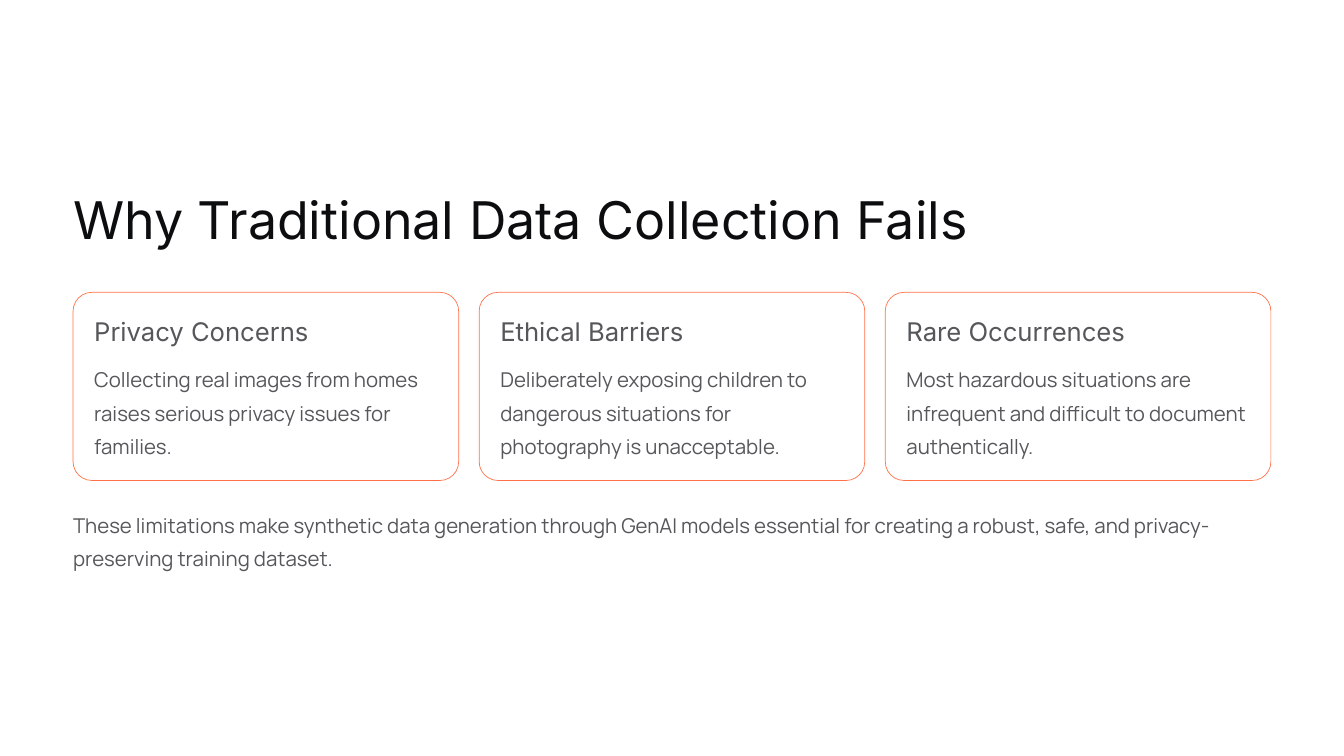
"""Build a slide on why traditional data collection fails."""
from pptx import Presentation
from pptx.dml.color import RGBColor
from pptx.enum.shapes import MSO_SHAPE
from pptx.enum.text import MSO_ANCHOR, MSO_AUTO_SIZE, PP_ALIGN
from pptx.util import Cm, Pt

ROUNDED = MSO_SHAPE.ROUNDED_RECTANGLE
TOP = MSO_ANCHOR.TOP
NO_FIT = MSO_AUTO_SIZE.NONE
LEFT_ALIGN = PP_ALIGN.LEFT

INK = RGBColor(0x0C, 0x0D, 0x0F)
GRAY = RGBColor(0x55, 0x57, 0x5A)
ORANGE = RGBColor(0xFF, 0x70, 0x47)
WHITE = RGBColor(0xFF, 0xFF, 0xFF)

MARGIN = 2.21
CARD_TOP = 8.84
CARD_WIDTH = 11.66
CARD_HEIGHT = 5.69
CARD_PITCH = 12.28
CARD_INSET = 0.64

HEADING = dict(font="Inter", size=22, color=GRAY, leading=27.5, wrap=False)
BODY = dict(font="Manrope", size=17.5, color=GRAY, leading=28.5, wrap=True)


def write(box, text, font, size, color, leading, wrap):
    frame = box.text_frame
    frame.margin_left = frame.margin_right = 0
    frame.margin_top = frame.margin_bottom = 0
    frame.vertical_anchor = TOP
    frame.auto_size = NO_FIT
    frame.word_wrap = wrap
    paragraph = frame.paragraphs[0]
    paragraph.alignment = LEFT_ALIGN
    paragraph.line_spacing = Pt(leading)
    run = paragraph.add_run()
    run.text = text
    run.font.name = font
    run.font.size = Pt(size)
    run.font.color.rgb = color


presentation = Presentation()
presentation.slide_width = Cm(40.64)
presentation.slide_height = Cm(22.86)
slide = presentation.slides.add_slide(presentation.slide_layouts[5])
slide.background.fill.solid()
slide.background.fill.fore_color.rgb = WHITE
shapes = slide.shapes

title = shapes.title
title.left, title.top = Cm(MARGIN), Cm(5.61)
title.width, title.height = Cm(27.15), Cm(1.98)
write(title, "Why Traditional Data Collection Fails",
      font="Inter", size=44.5, color=INK, leading=55.5, wrap=False)

obstacles = [
    ("Privacy Concerns",
     "Collecting real images from homes raises serious privacy issues for families."),
    ("Ethical Barriers",
     "Deliberately exposing children to dangerous situations for photography is unacceptable."),
    ("Rare Occurrences",
     "Most hazardous situations are infrequent and difficult to document authentically."),
]

for index, (name, reason) in enumerate(obstacles):
    card_left = MARGIN + index * CARD_PITCH
    card = shapes.add_shape(ROUNDED, Cm(card_left), Cm(CARD_TOP),
                            Cm(CARD_WIDTH), Cm(CARD_HEIGHT))
    card.adjustments[0] = 0.1
    card.shadow.inherit = False
    card.fill.solid()
    card.fill.fore_color.rgb = WHITE
    card.line.color.rgb = ORANGE
    card.line.width = Pt(0.6)

    text_left = Cm(card_left + CARD_INSET)
    heading = shapes.add_textbox(text_left, Cm(9.5), Cm(7.87), Cm(0.99))
    write(heading, name, **HEADING)
    explanation = shapes.add_textbox(text_left, Cm(10.85), Cm(10.36), Cm(3.02))
    write(explanation, reason, **BODY)

conclusion = shapes.add_textbox(Cm(MARGIN), Cm(15.24), Cm(36.22), Cm(2.01))
write(conclusion,
      "These limitations make synthetic data generation through GenAI models essential "
      "for creating a robust, safe, and privacy-preserving training dataset.", **BODY)

presentation.save("out.pptx")
